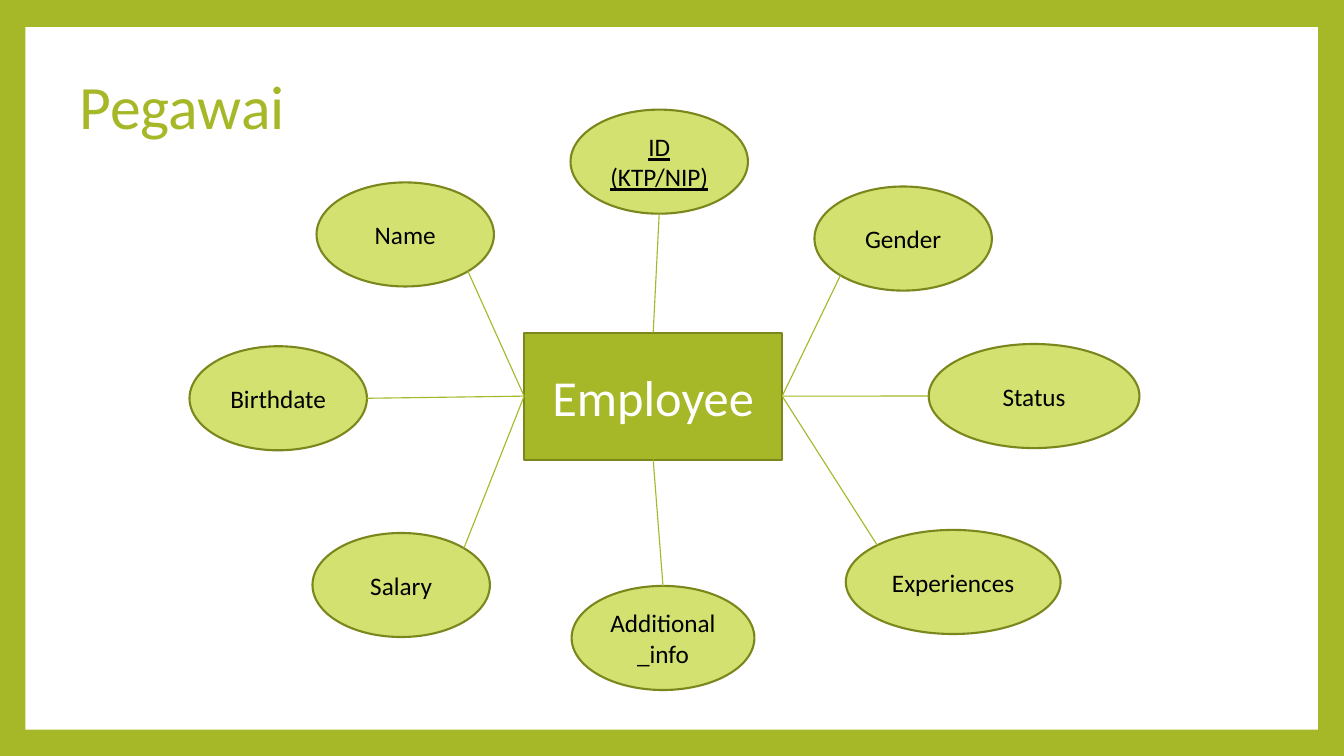
from dataclasses import dataclass
from math import sqrt

from lxml import etree
from pptx import Presentation
from pptx import util as u
from pptx.dml import color
from pptx.enum import shapes, text
from pptx.oxml import ns

FONT = "Calibri"
GREEN, DARK_GREEN, PALE_GREEN = "A6B727", "7B871D", "D3E171"
WHITE, BLACK = "FFFFFF", "000000"

# Grid of 100 columns by 100 rows
WIDTH, HEIGHT = u.Inches(13.33), u.Inches(7.5)
COLUMN, ROW = WIDTH / 100, HEIGHT / 100
DIAGONAL = sqrt(0.5)


@dataclass(frozen=True)
class Box:
    left: float
    top: float
    width: float
    height: float

    def place(self) -> tuple[int, int, int, int]:
        return (round(self.left * COLUMN), round(self.top * ROW),
                round(self.width * COLUMN), round(self.height * ROW))

    def anchor(self, across: float, down: float) -> tuple[int, int]:
        """Point reached from the centre, in half widths and half heights."""
        return (round((self.left + self.width * (1 + across) / 2) * COLUMN),
                round((self.top + self.height * (1 + down) / 2) * ROW))


@dataclass(frozen=True)
class Attribute:
    label: str
    left: float
    top: float
    link: tuple[float, float]  # direction of the link's start on the ellipse
    side: tuple[float, float]  # side of the entity where the link ends
    width: float = 13.2
    key: bool = False

    def box(self) -> Box:
        return Box(self.left, self.top, self.width, 13.77)


TOP, BOTTOM, LEFT, RIGHT = (0, -1), (0, 1), (-1, 0), (1, 0)
PANEL = Box(1.88, 3.6, 96.18, 92.93)
TITLE = Box(5.18, 7.2, 81, 14.67)
ENTITY = Box(39, 44, 19.2, 16.8)
ATTRIBUTES = [
    Attribute("ID\n(KTP/NIP)", 42.45, 14.5, BOTTOM, TOP, key=True),
    Attribute("Name", 23.55, 24.13, (DIAGONAL, DIAGONAL), LEFT),
    Attribute("Gender", 60.6, 24.67, (-DIAGONAL, DIAGONAL), RIGHT),
    Attribute("Birthdate", 14.1, 45.8, RIGHT, LEFT),
    Attribute("Status", 69.1, 45.5, LEFT, RIGHT, width=15.68),
    Attribute("Experiences", 62.93, 70.1, (-DIAGONAL, -DIAGONAL), RIGHT, width=15.98),
    Attribute("Salary", 23.25, 70.5, (DIAGONAL, -DIAGONAL), LEFT),
    Attribute("Additional_info", 42.53, 77.5, TOP, BOTTOM, width=13.6),
]


def rgb(value: str) -> color.RGBColor:
    return color.RGBColor.from_string(value)


def write(shape, content: str, size: float, ink: str,
          align=text.PP_ALIGN.CENTER, underline: bool = False) -> None:
    frame = shape.text_frame
    frame.text = content
    frame.word_wrap = True
    frame.auto_size = text.MSO_AUTO_SIZE.NONE
    frame.vertical_anchor = text.MSO_ANCHOR.MIDDLE
    for paragraph in frame.paragraphs:
        paragraph.alignment = align
        for run in paragraph.runs:
            run.font.name = FONT
            run.font.size = u.Pt(size)
            run.font.color.rgb = rgb(ink)
            if underline:
                run.font.underline = True


def add_block(slide, kind, box: Box, fill: str, outline: str | None = None):
    shape = slide.shapes.add_shape(kind, *box.place())
    shape.shadow.inherit = False
    shape.fill.solid()
    shape.fill.fore_color.rgb = rgb(fill)
    if outline:
        shape.line.color.rgb = rgb(outline)
        shape.line.width = u.Pt(1.5)
    else:
        shape.line.fill.background()
    return shape


def add_link(slide, attribute: Attribute) -> None:
    connector = slide.shapes.add_connector(
        shapes.MSO_CONNECTOR.STRAIGHT,
        *attribute.box().anchor(*attribute.link), *ENTITY.anchor(*attribute.side))
    connector.line.color.rgb = rgb(GREEN)
    connector.line.width = u.Pt(0.79)
    etree.SubElement(connector.element.spPr, ns.qn("a:effectLst"))


def main() -> None:
    presentation = Presentation()
    presentation.slide_width, presentation.slide_height = WIDTH, HEIGHT
    slide = presentation.slides.add_slide(presentation.slide_layouts[5])

    # Green border around a white panel
    slide.background.fill.solid()
    slide.background.fill.fore_color.rgb = rgb(GREEN)
    panel = add_block(slide, shapes.MSO_SHAPE.RECTANGLE, PANEL, WHITE)

    # Title, in front of the panel
    title = slide.shapes.title
    title.element.addprevious(panel.element)
    title.left, title.top, title.width, title.height = TITLE.place()
    write(title, "Pegawai", 44, GREEN, text.PP_ALIGN.LEFT)
    title.text_frame.paragraphs[0].line_spacing = 0.9

    # Entity
    entity = add_block(slide, shapes.MSO_SHAPE.RECTANGLE, ENTITY, GREEN, DARK_GREEN)
    write(entity, "Employee", 36, WHITE)

    # Attributes and their links
    for attribute in ATTRIBUTES:
        ellipse = add_block(slide, shapes.MSO_SHAPE.OVAL, attribute.box(),
                            PALE_GREEN, DARK_GREEN)
        write(ellipse, attribute.label, 18, BLACK, underline=attribute.key)
        add_link(slide, attribute)

    presentation.save("out.pptx")


if __name__ == "__main__":
    main()
